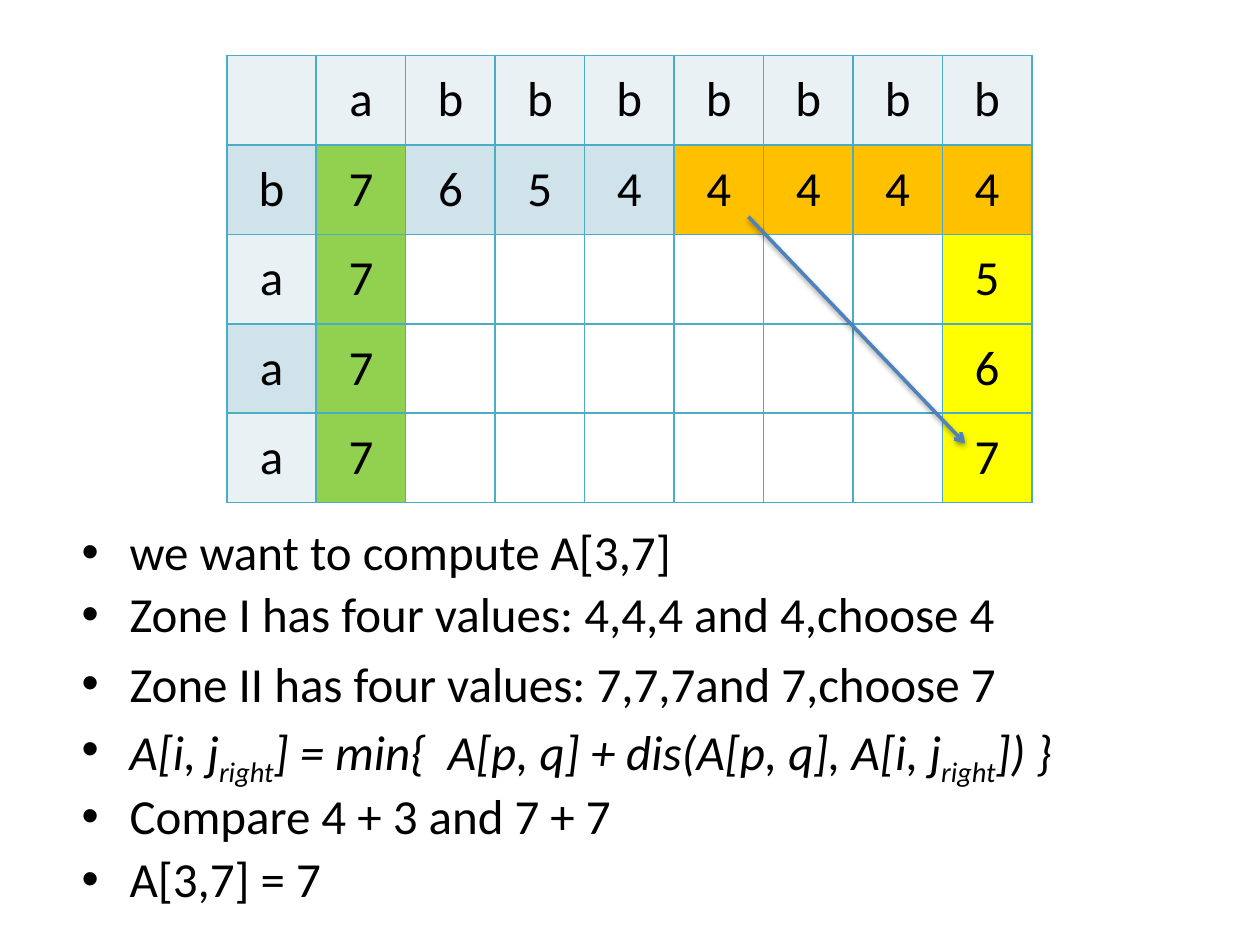
"""Build a slide with an alignment table, a diagonal arrow and the steps that compute A[3,7]."""
from dataclasses import dataclass
from typing import Any

import pptx
import pptx.dml.color
import pptx.enum.dml
import pptx.enum.shapes
import pptx.enum.text
import pptx.oxml
import pptx.oxml.ns
import pptx.util

Inches = pptx.util.Inches
Pt = pptx.util.Pt
RGBColor = pptx.dml.color.RGBColor

BLACK = RGBColor(0x00, 0x00, 0x00)
WHITE = RGBColor(0xFF, 0xFF, 0xFF)
PALE = RGBColor(0xE9, 0xF1, 0xF5)
BAND = RGBColor(0xD0, 0xE3, 0xEA)
GREEN = RGBColor(0x92, 0xD0, 0x50)
ORANGE = RGBColor(0xFF, 0xC0, 0x00)
YELLOW = RGBColor(0xFF, 0xFF, 0x00)
TEAL = RGBColor(0x4B, 0xAC, 0xC6)
BLUE = RGBColor(0x41 + 0x0E, 0x81, 0xBD)

FILLS = {"p": PALE, "d": BAND, "g": GREEN, "o": ORANGE, "y": YELLOW, "w": WHITE}
FONT = {"name": "Calibri", "size": Pt(28)}
PLAIN = {"first_row": False, "horz_banding": False}
SIDE = 0.71
INDENT = Inches(0.38)
NS = pptx.oxml.ns.nsdecls("a")


@dataclass
class Row:
    """Values of a table row and the fill key of each cell."""
    texts: list[str]
    fills: str


@dataclass
class Step:
    """A bullet whose every second run is a subscript."""
    runs: list[str]
    italic: bool = False
    lead: float = 0.9


GAP = [""] * 6
ROWS = [
    Row(["", "a"] + ["b"] * 7, "p" * 9),
    Row(["b", "7", "6", "5"] + ["4"] * 5, "dgdddoooo"),
    Row(["a", "7", *GAP, "5"], "pgwwwwwwy"),
    Row(["a", "7", *GAP, "6"], "dgwwwwwwy"),
    Row(["a", "7", *GAP, "7"], "pgwwwwwwy"),
]
STEPS = [
    Step(["we want to compute A[3,7]"]),
    Step(["Zone I has four values: 4,4,4 and 4,choose 4"]),
    Step(["Zone II has four values: 7,7,7and 7,choose 7"], lead=1.0),
    Step(["A[i, j", "right", "] = min{  A[p, q] + dis(A[p, q], A[i, j",
          "right", "]) }"], italic=True),
    Step(["Compare 4 + 3 and 7 + 7"]),
    Step(["A[3,7] = 7"]),
]


def apply(obj: Any, vals: dict[str, Any]) -> None:
    """Set each named attribute."""
    for key, val in vals.items():
        setattr(obj, key, val)


def style(font: Any, italic: bool = False) -> None:
    """Give a font the slide's look."""
    apply(font, FONT | {"italic": italic})
    font.color.rgb = BLACK


def draw_cell(cell: Any, text: str, fill: RGBColor) -> None:
    """Draw one bordered table cell."""
    props = cell._tc.get_or_add_tcPr()
    for side in "LRTB":
        props.append(pptx.oxml.parse_xml(
            f'<a:ln{side} {NS} w="12700"><a:solidFill><a:srgbClr val="{TEAL}"/>'
            f"</a:solidFill></a:ln{side}>"))
    cell.fill.solid()
    cell.fill.fore_color.rgb = fill
    cell.vertical_anchor = pptx.enum.text.MSO_ANCHOR.MIDDLE
    if text:
        para = cell.text_frame.paragraphs[0]
        para.alignment = pptx.enum.text.PP_ALIGN.CENTER
        run = para.add_run()
        run.text = text
        style(run.font)


def draw_grid(slide: Any, rows: list[Row]) -> None:
    """Draw the table of square cells."""
    wide, high = len(rows[0].texts), len(rows)
    grid = slide.shapes.add_table(high, wide, Inches(1.8), Inches(0.44),
                                  Inches(SIDE * wide), Inches(SIDE * high)).table
    apply(grid, PLAIN)
    for col in grid.columns:
        col.width = Inches(SIDE)
    for line, row in zip(grid.rows, rows):
        line.height = Inches(SIDE)
        for cell, text, key in zip(line.cells, row.texts, row.fills):
            draw_cell(cell, text, FILLS[key])


def draw_step(para: Any, step: Step, first: bool) -> None:
    """Write one bullet."""
    props = para._p.get_or_add_pPr()
    apply(para, {"line_spacing": step.lead, "space_before": Pt(0 if first else 5.6)})
    props.set("marL", str(INDENT))
    props.set("indent", str(-INDENT))
    for tag in ('buFont typeface="Arial"', 'buChar char="•"'):
        name, attr = tag.split(" ")
        props.append(pptx.oxml.parse_xml(f"<a:{name} {NS} {attr}/>"))
    for num, text in enumerate(step.runs):
        run = para.add_run()
        run.text = text
        style(run.font, step.italic)
        if num % 2:
            run._r.get_or_add_rPr().set("baseline", "-25000")


def draw_steps(slide: Any, steps: list[Step]) -> None:
    """Write the bullet list."""
    frame = slide.shapes.add_textbox(Inches(0.55), Inches(4.14),
                                     Inches(9.3), Inches(3.13)).text_frame
    frame.word_wrap = True
    for num, step in enumerate(steps):
        para = frame.add_paragraph() if num else frame.paragraphs[0]
        draw_step(para, step, num == 0)


def draw_arrow(slide: Any) -> None:
    """Draw the shaded arrow across the table."""
    arrow = slide.shapes.add_connector(
        pptx.enum.shapes.MSO_CONNECTOR.STRAIGHT,
        Inches(5.94), Inches(1.72), Inches(7.66), Inches(3.52))
    arrow.line.width = Pt(2)
    arrow.line.color.rgb = BLUE
    arrow.line._get_or_add_ln().append(
        pptx.oxml.parse_xml(f'<a:tailEnd {NS} type="arrow"/>'))
    arrow._element.spPr.append(pptx.oxml.parse_xml(
        f'<a:effectLst {NS}><a:outerShdw blurRad="{Pt(3.1)}" dist="{Pt(1.6)}" '
        f'dir="5400000" rotWithShape="0"><a:srgbClr val="{BLACK}">'
        '<a:alpha val="38000"/></a:srgbClr></a:outerShdw></a:effectLst>'))


def main() -> None:
    """Build and save the deck."""
    deck = pptx.Presentation()
    apply(deck, {"slide_width": Inches(10), "slide_height": Inches(7.5)})
    slide = deck.slides.add_slide(deck.slide_layouts[6])
    draw_steps(slide, STEPS)
    draw_grid(slide, ROWS)
    draw_arrow(slide)
    deck.save("out.pptx")


if __name__ == "__main__":
    main()
